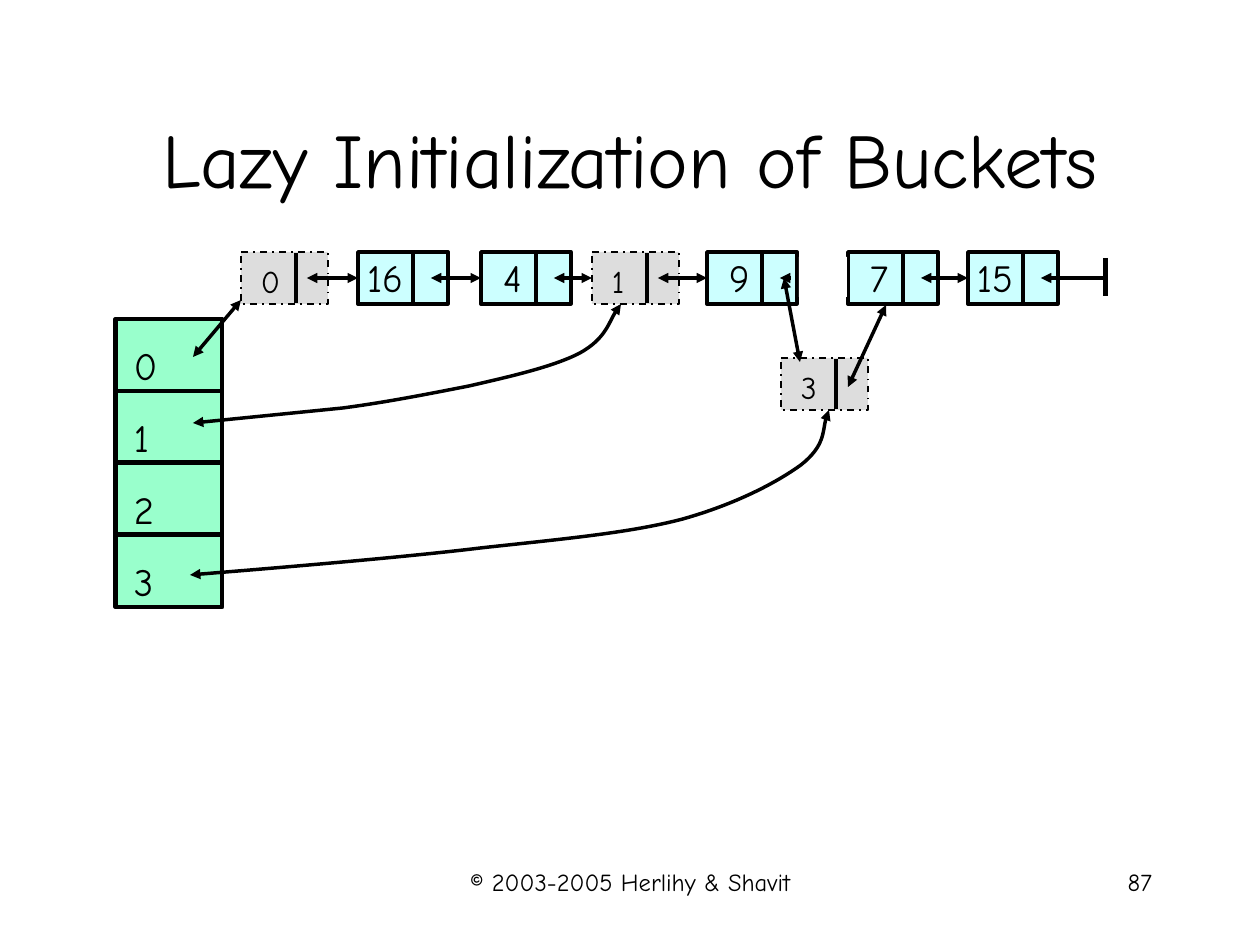
from dataclasses import dataclass

from lxml.etree import SubElement
from pptx import Presentation
from pptx.dml.color import RGBColor
from pptx.enum.dml import MSO_LINE
from pptx.enum.shapes import MSO_CONNECTOR, MSO_SHAPE
from pptx.enum.text import MSO_ANCHOR, PP_ALIGN
from pptx.oxml.ns import qn
from pptx.util import Pt

EMU_PER_PX = 914400 / 126


@dataclass(frozen=True)
class Theme:
    font: str = "Comic Neue"
    ink: str = "000000"
    paper: str = "FFFFFF"
    bucket: str = "99FFCC"
    item: str = "CCFFFF"
    sentinel: str = "DDDDDD"
    title_size: int = 44
    label_size: int = 22
    sentinel_size: int = 18
    footer_size: int = 14
    thick: float = 2.83
    medium: float = 1.98
    thin: float = 1


THEME = Theme()

TITLE = "Lazy Initialization of Buckets"
FOOTER = "© 2003-2005 Herlihy & Shavit"
PAGE_NUMBER = "87"

BUCKETS = ["0", "1", "2", "3"]
BUCKET_LEFT, BUCKET_TOP, BUCKET_WIDTH, BUCKET_HEIGHT = 116, 319, 106, 72

# name: (left, top)
ITEMS = {"16": (358, 252), "4": (481, 252), "9": (707, 252), "7": (848, 252), "15": (968, 252)}
SENTINELS = {"0": (241, 252), "1": (592, 252), "3": (781, 358)}
LIST_ORDER = ["0", "16", "4", "1", "9", "7", "15"]
ITEM_WIDTH, SENTINEL_WIDTH, NODE_HEIGHT = 90, 87, 52
DIVIDER_OFFSET = 55
ITEM_LINK_OFFSET, SENTINEL_LINK_OFFSET = 73, 66

LIST_END = ((1106, 258), (1106, 296))
ERASED_LINK = [  # left, top, width, height, fill
    (799, 257, 48, 40, THEME.paper),
    (791, 257, 4, 38, THEME.item),
]
SLANTED_LINKS = [
    ((848, 387), (886, 305)),
    ((784, 278), (800, 362)),
    ((193, 357), (241, 300)),
]
# A start point, then two control points and an end point for each segment
CURVED_LINKS = [
    [(193, 423), (243, 418), (293, 413), (343, 408), (388, 402), (428, 394), (469, 386),
     (508, 377), (553, 367), (580, 353), (605, 339), (612, 314), (621, 304)],
    [(190, 575), (239, 571), (399, 558), (481, 548), (563, 539), (630, 533), (683, 519),
     (736, 504), (776, 483), (801, 465), (825, 446), (823, 421), (829, 410)],
]


def px(value):
    return round(value * EMU_PER_PX)


def add_text(slide, text, left, top, width, height, *, size=THEME.label_size,
             align=PP_ALIGN.LEFT, anchor=MSO_ANCHOR.TOP, insets=(0, 0, 0, 0), spacing=None):
    box = slide.shapes.add_textbox(px(left), px(top), px(width), px(height))
    frame = box.text_frame
    frame.word_wrap = True
    frame.vertical_anchor = anchor
    frame.margin_left, frame.margin_top, frame.margin_right, frame.margin_bottom = map(px, insets)
    paragraph = frame.paragraphs[0]
    paragraph.alignment = align
    if spacing:
        paragraph.line_spacing = spacing
    run = paragraph.add_run()
    run.text = text
    run.font.name = THEME.font
    run.font.size = Pt(size)
    run.font.color.rgb = RGBColor.from_string(THEME.ink)


def style_line(line, weight):
    line.color.rgb = RGBColor.from_string(THEME.ink)
    line.width = Pt(weight)


def add_arrowheads(shape, ends):
    line = shape.line._get_or_add_ln()
    for end in ends:
        SubElement(line, qn(f"a:{end}"), type="triangle")


def add_box(slide, left, top, width, height, fill, weight=None, kind=MSO_SHAPE.ROUNDED_RECTANGLE):
    shape = slide.shapes.add_shape(kind, px(left), px(top), px(width), px(height))
    if kind == MSO_SHAPE.ROUNDED_RECTANGLE:
        shape.adjustments[0] = 0
    shape.shadow.inherit = False
    shape.fill.solid()
    shape.fill.fore_color.rgb = RGBColor.from_string(fill)
    if weight:
        style_line(shape.line, weight)
    else:
        shape.line.fill.background()
    return shape


def add_line(slide, start, end, weight=THEME.medium, ends=()):
    connector = slide.shapes.add_connector(MSO_CONNECTOR.STRAIGHT, *map(px, (*start, *end)))
    style_line(connector.line, weight)
    add_arrowheads(connector, ends)
    SubElement(connector._element.spPr, qn("a:effectLst"))
    return connector


def add_curve(slide, points):
    """Draw a double-headed arrow along a chain of cubic segments."""
    builder = slide.shapes.build_freeform(*points[0], scale=EMU_PER_PX)
    builder.add_line_segments(points[1:], close=False)
    shape = builder.convert_to_shape()
    straight = list(shape._element.iter(qn("a:lnTo")))
    for index in range(0, len(straight), 3):
        curve = SubElement(straight[index].getparent(), qn("a:cubicBezTo"))
        for segment in straight[index:index + 3]:
            curve.append(segment[0])
            segment.getparent().remove(segment)
    shape.shadow.inherit = False
    shape.fill.background()
    style_line(shape.line, THEME.medium)
    add_arrowheads(shape, ("headEnd", "tailEnd"))


def add_node(slide, name):
    if name in ITEMS:
        left, top = ITEMS[name]
        node = add_box(slide, left, top, ITEM_WIDTH, NODE_HEIGHT, THEME.item, THEME.medium)
        label_left, label_width = (left + 11, 42) if len(name) == 1 else (left - 2, 59)
        add_text(slide, name, label_left, top - 4, label_width, 58, insets=(11, 6, 0, 6))
    else:
        left, top = SENTINELS[name]
        node = add_box(slide, left, top, SENTINEL_WIDTH, NODE_HEIGHT, THEME.sentinel, THEME.thin)
        node.line.dash_style = MSO_LINE.DASH_DOT
        add_text(slide, name, left + 20, top + 4, 19, 44, size=THEME.sentinel_size, spacing=1.15)
    divider = left + DIVIDER_OFFSET
    add_line(slide, (divider, top + 1), (divider, top + NODE_HEIGHT - 1))
    return node


def link_start(name):
    left, top = ITEMS.get(name) or SENTINELS[name]
    offset = ITEM_LINK_OFFSET if name in ITEMS else SENTINEL_LINK_OFFSET
    return left + offset, top + NODE_HEIGHT // 2


def main():
    presentation = Presentation()
    presentation.slide_width, presentation.slide_height = px(1260), px(945)
    slide = presentation.slides.add_slide(presentation.slide_layouts[6])
    both_ends = ("headEnd", "tailEnd")
    margins = (13, 6, 13, 6)

    add_text(slide, TITLE, 95, 112, 1071, 91, size=THEME.title_size,
             align=PP_ALIGN.CENTER, anchor=MSO_ANCHOR.MIDDLE, insets=margins)

    for index, name in enumerate(BUCKETS):
        top = BUCKET_TOP + index * BUCKET_HEIGHT
        add_box(slide, BUCKET_LEFT, top, BUCKET_WIDTH, BUCKET_HEIGHT, THEME.bucket, THEME.thick)
        add_text(slide, name, BUCKET_LEFT + 18, top + 16, 24, 53, spacing=1.15)

    nodes = {name: add_node(slide, name) for name in (*ITEMS, *SENTINELS)}
    for name, following in zip(LIST_ORDER, LIST_ORDER[1:]):
        start = link_start(name)
        link = add_line(slide, start, start, ends=both_ends)
        link.end_connect(nodes[following], 1)

    last_link = link_start(LIST_ORDER[-1])
    add_line(slide, last_link, (LIST_END[0][0], last_link[1]), ends=("headEnd",))
    add_line(slide, *LIST_END, weight=THEME.thick)

    for *place, fill in ERASED_LINK:
        add_box(slide, *place, fill, kind=MSO_SHAPE.RECTANGLE)
    for start, end in SLANTED_LINKS:
        add_line(slide, start, end, ends=both_ends)
    for points in CURVED_LINKS:
        add_curve(slide, points)

    for text, left, width, align in [(FOOTER, 431, 399, PP_ALIGN.CENTER),
                                     (PAGE_NUMBER, 903, 262, PP_ALIGN.RIGHT)]:
        add_text(slide, text, left, 861, width, 63, size=THEME.footer_size,
                 align=align, insets=margins)

    presentation.save("out.pptx")


if __name__ == "__main__":
    main()
